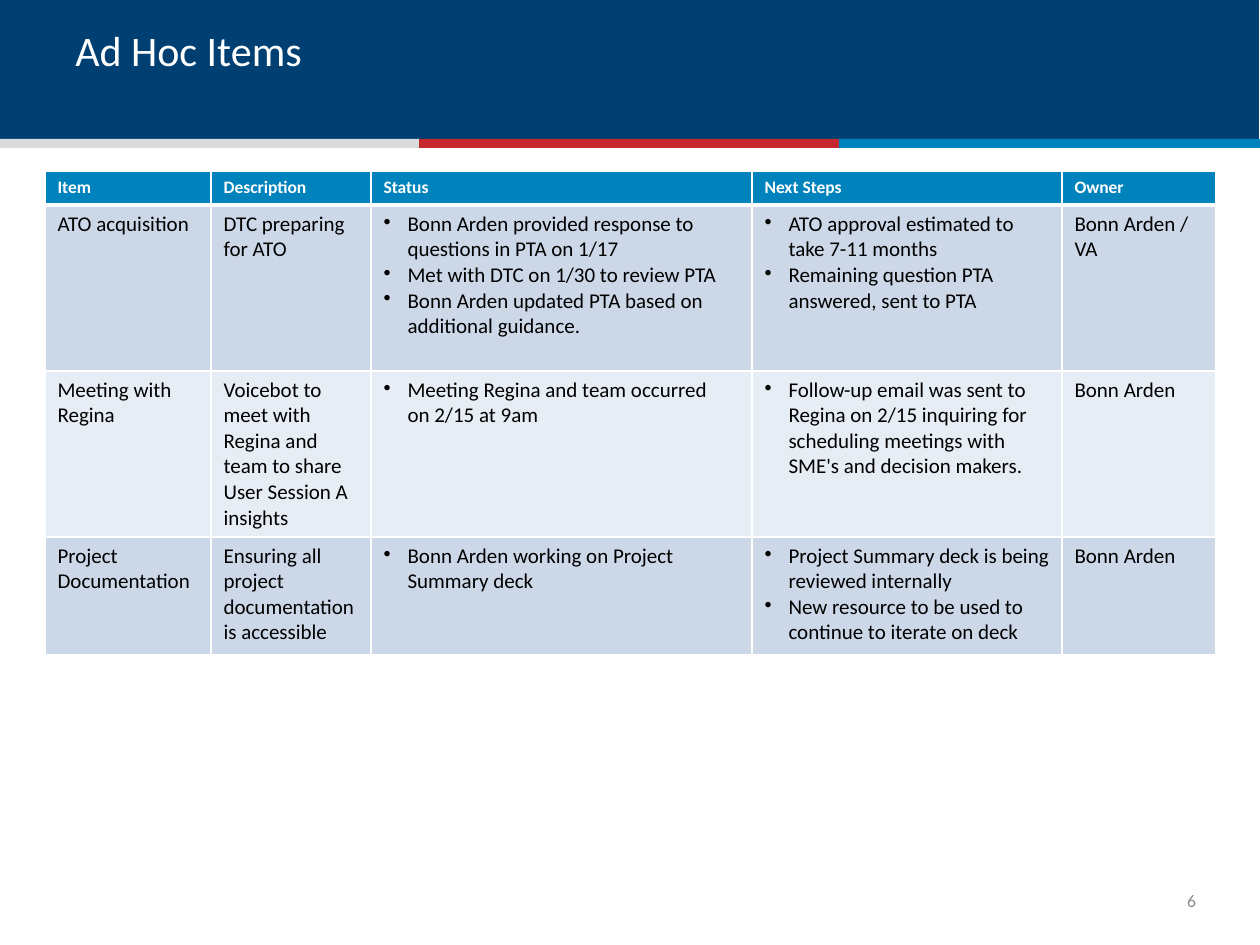
from dataclasses import dataclass

from lxml import etree
from pptx import Presentation
from pptx.dml.color import RGBColor
from pptx.enum.shapes import MSO_SHAPE
from pptx.enum.text import MSO_ANCHOR, PP_ALIGN
from pptx.oxml.ns import qn
from pptx.util import Emu, Pt

RECTANGLE = MSO_SHAPE.RECTANGLE
TOP, MIDDLE = MSO_ANCHOR.TOP, MSO_ANCHOR.MIDDLE
LEFT, RIGHT = PP_ALIGN.LEFT, PP_ALIGN.RIGHT

NAVY = RGBColor(0x00, 0x3F, 0x72)
SILVER = RGBColor(0xDB, 0xDC, 0xDE)
RED = RGBColor(0xC6, 0x26, 0x2D)
BLUE = RGBColor(0x00, 0x82, 0xBD)
WHITE = RGBColor(0xFF, 0xFF, 0xFF)
BLACK = RGBColor(0x00, 0x00, 0x00)
GRAY = RGBColor(0x8C, 0x8C, 0x8C)
BANDS = (RGBColor(0xCC, 0xD8, 0xE8), RGBColor(0xE7, 0xED, 0xF4))

FONT = "Calibri"
EMU_PER_INCH, PX_PER_INCH = 914400, 126
BULLET_INDENT = 24


@dataclass(frozen=True)
class Area:
    left: int
    top: int
    width: int
    height: int


@dataclass(frozen=True)
class Style:
    size: int
    color: RGBColor
    bold: bool = False
    align: PP_ALIGN = LEFT


@dataclass(frozen=True)
class Item:
    name: str
    description: str
    status: tuple[str, ...]
    next_steps: tuple[str, ...]
    owner: str
    height: int


TITLE_STYLE = Style(24, WHITE)
NUMBER_STYLE = Style(10, GRAY, align=RIGHT)
HEADER_STYLE = Style(10, WHITE, bold=True)
BODY_STYLE = Style(12, BLACK)

HEADERS = ("Item", "Description", "Status", "Next Steps", "Owner")
COLUMN_WIDTHS = (166, 160, 381, 310, 154)
HEADER_HEIGHT = 34
ITEMS = (
    Item(
        "ATO acquisition",
        "DTC preparing for ATO",
        ("Bonn Arden provided response to questions in PTA on 1/17",
         "Met with DTC on 1/30 to review PTA",
         "Bonn Arden updated PTA based on additional guidance."),
        ("ATO approval estimated to take 7-11 months",
         "Remaining question PTA answered, sent to PTA"),
        "Bonn Arden / VA", 166),
    Item(
        "Meeting with Regina",
        "Voicebot to meet with Regina and team to share User Session A insights",
        ("Meeting Regina and team occurred on\u00a02/15 at 9am",),
        ("Follow-up email was sent to Regina on 2/15 inquiring for scheduling "
         "meetings with SME's and decision makers.",),
        "Bonn Arden", 166),
    Item(
        "Project Documentation",
        "Ensuring all project documentation is accessible",
        ("Bonn Arden working on Project Summary deck",),
        ("Project Summary deck is being reviewed internally",
         "New resource to be used to continue to iterate on deck"),
        "Bonn Arden", 118),
)


def px(length: int) -> Emu:
    return Emu(round(length * EMU_PER_INCH / PX_PER_INCH))


def place(area: Area) -> tuple[Emu, Emu, Emu, Emu]:
    return px(area.left), px(area.top), px(area.width), px(area.height)


def add_bar(slide, area: Area, color: RGBColor) -> None:
    bar = slide.shapes.add_shape(RECTANGLE, *place(area))
    bar.shadow.inherit = False
    bar.fill.solid()
    bar.fill.fore_color.rgb = color
    bar.line.fill.background()


def add_bullet(para) -> None:
    properties = para._p.get_or_add_pPr()
    properties.set("marL", str(px(BULLET_INDENT)))
    properties.set("indent", str(px(-BULLET_INDENT)))
    etree.SubElement(properties, qn("a:buChar"), char="•")


def write(frame, lines: tuple[str, ...], style: Style, bulleted: bool = False) -> None:
    for index, line in enumerate(lines):
        para = frame.add_paragraph() if index else frame.paragraphs[0]
        para.text = line
        if bulleted:
            add_bullet(para)
        para.alignment = style.align
        para.font.name = FONT
        para.font.size = Pt(style.size)
        para.font.bold = style.bold
        para.font.color.rgb = style.color


def add_text(slide, area: Area, text: str, style: Style, anchor: MSO_ANCHOR,
             inset: bool = True) -> None:
    frame = slide.shapes.add_textbox(*place(area)).text_frame
    frame.word_wrap = True
    frame.vertical_anchor = anchor
    if not inset:
        frame.margin_left = frame.margin_right = 0
        frame.margin_top = frame.margin_bottom = 0
    write(frame, (text,), style)


def set_borders(cell, top: int, bottom: int) -> None:
    """Draw white cell borders; top and bottom widths are in points."""
    properties = cell._tc.get_or_add_tcPr()
    widths = {"a:lnL": 1, "a:lnR": 1, "a:lnT": top, "a:lnB": bottom}
    for index, (tag, width) in enumerate(widths.items()):
        line = etree.Element(qn(tag), w=str(Pt(width)))
        fill = etree.SubElement(line, qn("a:solidFill"))
        etree.SubElement(fill, qn("a:srgbClr"), val=str(WHITE))
        properties.insert(index, line)


def fill_cell(cell, content: str | tuple[str, ...], style: Style, color: RGBColor,
              top: int = 1, bottom: int = 1) -> None:
    bulleted = isinstance(content, tuple)
    write(cell.text_frame, content if bulleted else (content,), style, bulleted)
    cell.fill.solid()
    cell.fill.fore_color.rgb = color
    set_borders(cell, top, bottom)


def add_item_table(slide, left: int, top: int) -> None:
    heights = (HEADER_HEIGHT, *(item.height for item in ITEMS))
    area = Area(left, top, sum(COLUMN_WIDTHS), sum(heights))
    table = slide.shapes.add_table(len(heights), len(HEADERS), *place(area)).table
    for column, width in zip(table.columns, COLUMN_WIDTHS):
        column.width = px(width)
    for row, height in zip(table.rows, heights):
        row.height = px(height)
    for index, header in enumerate(HEADERS):
        fill_cell(table.cell(0, index), header, HEADER_STYLE, BLUE, bottom=3)
    for row, item in enumerate(ITEMS, start=1):
        contents = (item.name, item.description, item.status, item.next_steps, item.owner)
        band = BANDS[(row - 1) % len(BANDS)]
        for column, content in enumerate(contents):
            fill_cell(table.cell(row, column), content, BODY_STYLE, band,
                      top=3 if row == 1 else 1)


def main() -> None:
    deck = Presentation()
    deck.slide_width, deck.slide_height = px(1260), px(945)
    slide = deck.slides.add_slide(deck.slide_layouts[6])

    # Header band with its three-colour stripe
    add_bar(slide, Area(-1, 0, 1260, 144), NAVY)
    for index, color in enumerate((SILVER, RED, BLUE)):
        add_bar(slide, Area(-1 + index * 420, 139, 421, 9), color)
    add_text(slide, Area(63, 18, 1134, 112), "Ad Hoc Items", TITLE_STYLE, TOP)

    # Page number
    add_text(slide, Area(1162, 876, 34, 50), "6", NUMBER_STYLE, MIDDLE, inset=False)

    # Item table
    add_item_table(slide, 45, 171)

    deck.save("out.pptx")


if __name__ == "__main__":
    main()
